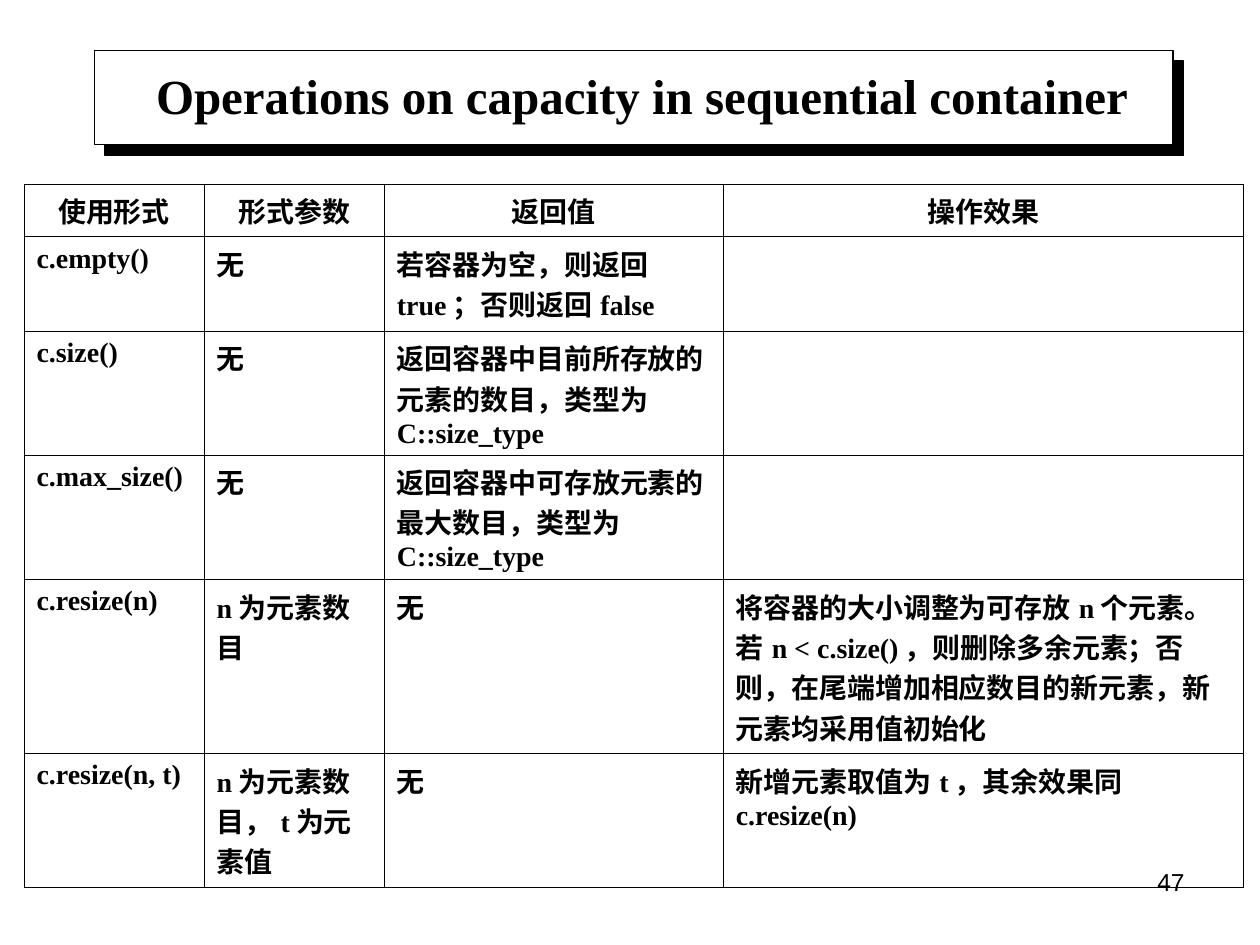
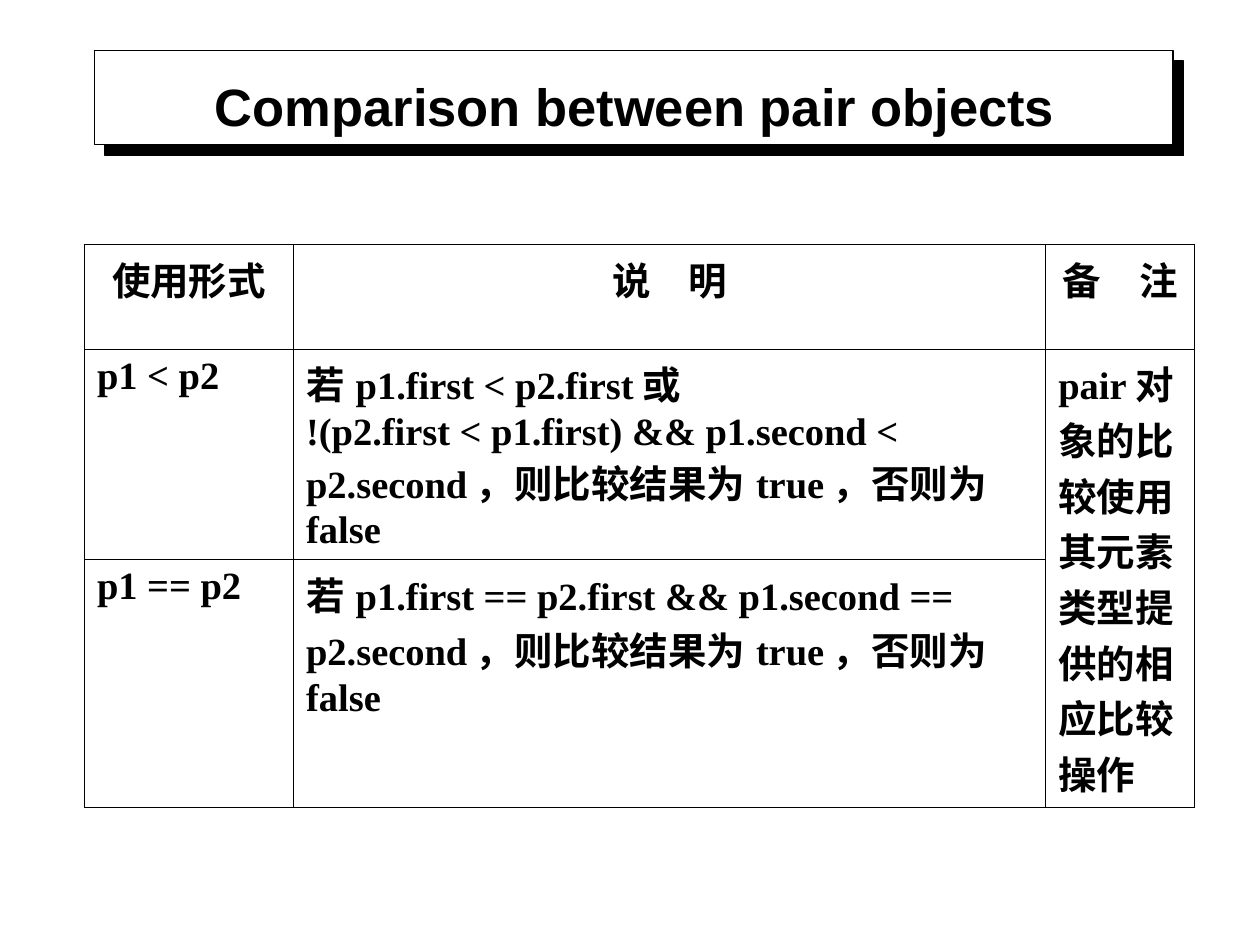
from dataclasses import dataclass

from lxml.etree import SubElement
from pptx import Presentation
from pptx.dml.color import RGBColor
from pptx.enum.shapes import MSO_SHAPE
from pptx.enum.text import MSO_ANCHOR, PP_ALIGN
from pptx.oxml.ns import qn
from pptx.slide import Slide
from pptx.table import _Cell
from pptx.text.text import TextFrame
from pptx.util import Inches, Pt


@dataclass(frozen=True)
class Theme:
    ink: RGBColor = RGBColor(0, 0, 0)
    paper: RGBColor = RGBColor(255, 255, 255)
    serif: str = "Times New Roman"
    sans: str = "Arial"
    number_size: int = 14
    frame_line: float = 0.75
    shadow_distance: float = 8.5
    rule: float = 0.34
    heavy_rule: float = 0.45


@dataclass(frozen=True)
class Box:
    left: float
    top: float
    width: float
    height: float

    def inches(self) -> tuple:
        return tuple(Inches(v) for v in (self.left, self.top, self.width, self.height))


@dataclass(frozen=True)
class Label:
    text: str
    box: Box
    size: int
    font: str
    bold: bool = True
    align: PP_ALIGN = PP_ALIGN.CENTER
    anchor: MSO_ANCHOR = MSO_ANCHOR.MIDDLE


@dataclass(frozen=True)
class Grid:
    """A ruled table; merges lists (first row, last row, column)."""
    left: float
    top: float
    columns: tuple
    row_heights: tuple
    size: int
    rows: tuple
    merges: tuple = ()


THEME = Theme()
TITLE_FRAME = Box(0.75, 0.4, 8.56, 0.75)

CAPACITY_TITLE = Label("Operations on capacity in sequential container",
                       Box(0.88, 0.44, 8.43, 0.63), 28, THEME.serif)
CAPACITY_NUMBER = Label("47", Box(7.17, 6.83, 2.33, 0.52), THEME.number_size, THEME.sans,
                        bold=False, align=PP_ALIGN.RIGHT, anchor=MSO_ANCHOR.TOP)
CAPACITY_TABLE = Grid(
    0.19, 1.46, (1.43, 1.43, 2.69, 4.13), (0.42, 0.75, 0.98, 0.99, 1.38, 1.06), 16,
    (
        ("使用形式", "形式参数", "返回值", "操作效果"),
        ("c.empty()", "无", "若容器为空，则返回true；否则返回false", ""),
        ("c.size()", "无", "返回容器中目前所存放的元素的数目，类型为C::size_type", ""),
        ("c.max_size()", "无", "返回容器中可存放元素的最大数目，类型为C::size_type", ""),
        ("c.resize(n)", "n为元素数目", "无",
         "将容器的大小调整为可存放n个元素。若n < c.size()，则删除多余元素；"
         "否则，在尾端增加相应数目的新元素，新元素均采用值初始化"),
        ("c.resize(n, t)", "n为元素数目，t为元素值", "无", "新增元素取值为t，其余效果同c.resize(n)"),
    ),
)

PAIR_TITLE = Label("Comparison between pair objects",
                   Box(0.75, 0.52, 8.58, 0.63), 30, THEME.sans)
PAIR_TABLE = Grid(
    0.67, 1.94, (1.66, 5.97, 1.18), (0.83, 1.67, 1.97), 22,
    (
        ("使用形式", "说　明", "备　注"),
        ("p1 < p2",
         "若p1.first < p2.first或\n"
         "!(p2.first < p1.first) && p1.second < p2.second，则比较结果为true，否则为false",
         "pair对象的比较使用其元素类型提供的相应比较操作"),
        ("p1 == p2",
         "若p1.first == p2.first && p1.second == p2.second，则比较结果为true，否则为false", ""),
    ),
    merges=((1, 2, 2),),
)


def write(tf: TextFrame, text: str, size: int, font: str, bold: bool, align: PP_ALIGN) -> None:
    """Set the text; punctuation stays inside the right margin."""
    tf.text = text
    for p in tf.paragraphs:
        p.alignment = align
        p._p.get_or_add_pPr().set("hangingPunct", "0")
        for r in p.runs:
            r.font.size = Pt(size)
            r.font.name = font
            r.font.bold = bold
            r.font.color.rgb = THEME.ink


def add_label(s: Slide, label: Label) -> None:
    tf = s.shapes.add_textbox(*label.box.inches()).text_frame
    tf.word_wrap = True
    tf.vertical_anchor = label.anchor
    write(tf, label.text, label.size, label.font, label.bold, label.align)


def add_title_frame(s: Slide) -> None:
    """White box with a hard shadow towards the lower right."""
    sp = s.shapes.add_shape(MSO_SHAPE.RECTANGLE, *TITLE_FRAME.inches())
    sp.fill.solid()
    sp.fill.fore_color.rgb = THEME.paper
    sp.line.color.rgb = THEME.ink
    sp.line.width = Pt(THEME.frame_line)
    sp.shadow.inherit = False
    effects = sp._element.spPr.find(qn("a:effectLst"))
    shadow = SubElement(effects, qn("a:outerShdw"), blurRad="0",
                        dist=str(Pt(THEME.shadow_distance)), dir=str(45 * 60000),
                        algn="ctr", rotWithShape="0")
    SubElement(shadow, qn("a:srgbClr"), val=str(THEME.ink))


def set_borders(cell: _Cell, top: float, bottom: float) -> None:
    tc_pr = cell._tc.get_or_add_tcPr()
    for side, width in (("L", THEME.rule), ("R", THEME.rule), ("T", top), ("B", bottom)):
        line = SubElement(tc_pr, qn(f"a:ln{side}"), w=str(Pt(width)))
        fill = SubElement(line, qn("a:solidFill"))
        SubElement(fill, qn("a:srgbClr"), val=str(THEME.ink))


def add_grid(s: Slide, grid: Grid) -> None:
    count = len(grid.rows)
    box = Box(grid.left, grid.top, sum(grid.columns), sum(grid.row_heights))
    table = s.shapes.add_table(count, len(grid.columns), *box.inches()).table
    table.first_row = table.horz_banding = False
    for column, width in zip(table.columns, grid.columns):
        column.width = Inches(width)
    for row, height in zip(table.rows, grid.row_heights):
        row.height = Inches(height)
    # The table's outer edges and the edge under the header are heavier.
    edges = [THEME.heavy_rule if i in (0, 1, count) else THEME.rule for i in range(count + 1)]
    for i, texts in enumerate(grid.rows):
        align = PP_ALIGN.LEFT if i else PP_ALIGN.CENTER
        for j, text in enumerate(texts):
            cell = table.cell(i, j)
            set_borders(cell, edges[i], edges[i + 1])
            cell.fill.background()
            if text:
                write(cell.text_frame, text, grid.size, THEME.serif, True, align)
    for first, last, column in grid.merges:
        table.cell(first, column).merge(table.cell(last, column))


def add_table_slide(prs: Presentation, title: Label, grid: Grid,
                    number: Label | None = None) -> None:
    s = prs.slides.add_slide(prs.slide_layouts[6])
    add_title_frame(s)
    if number:
        add_label(s, number)
    add_label(s, title)
    add_grid(s, grid)


def main() -> None:
    prs = Presentation()
    prs.slide_width, prs.slide_height = Inches(10), Inches(7.5)
    add_table_slide(prs, CAPACITY_TITLE, CAPACITY_TABLE, CAPACITY_NUMBER)
    add_table_slide(prs, PAIR_TITLE, PAIR_TABLE)
    prs.save("out.pptx")


if __name__ == "__main__":
    main()
